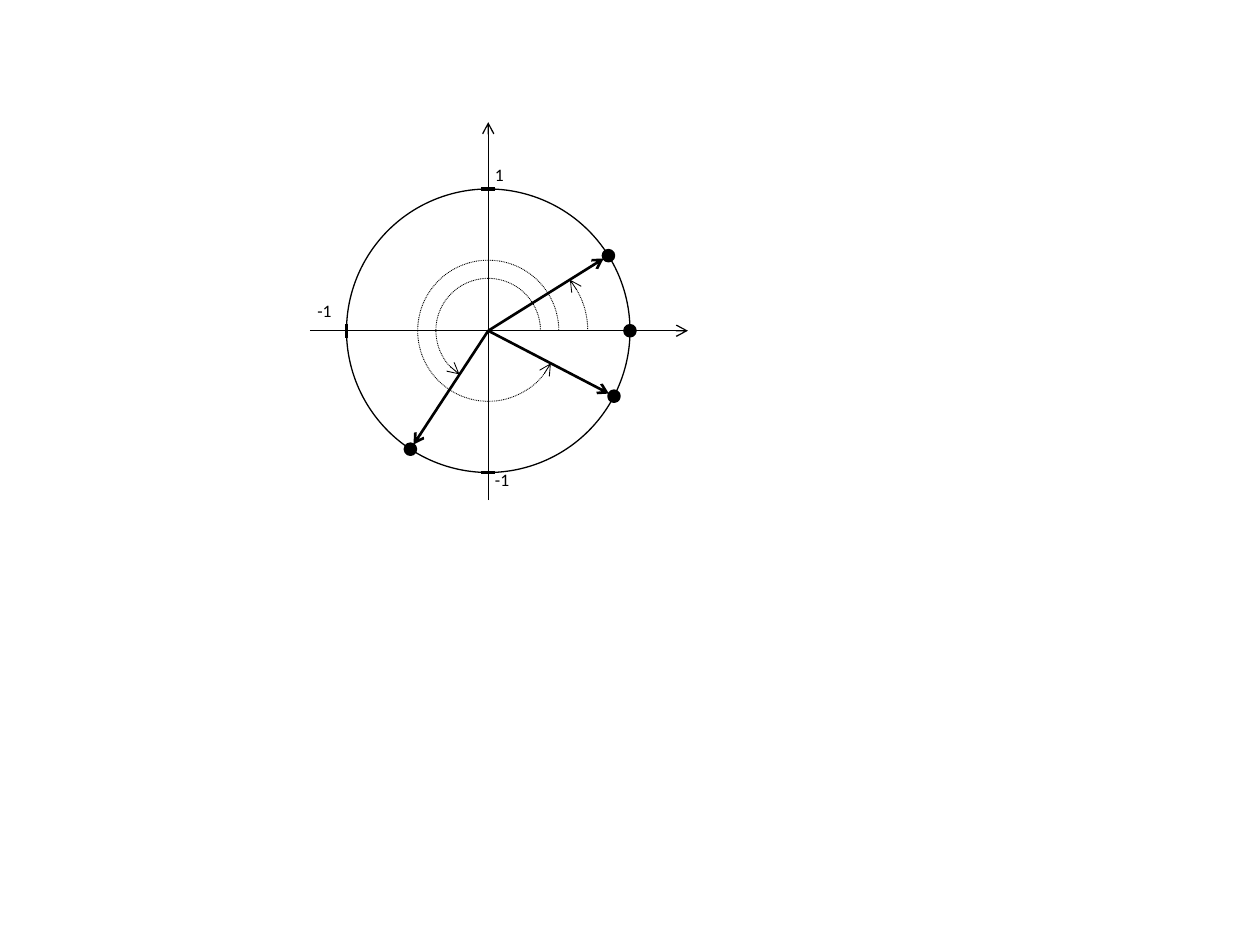
from math import cos, radians, sin

from pptx import Presentation
from pptx.dml.color import RGBColor
from pptx.enum.dml import MSO_LINE
from pptx.enum.shapes import MSO_CONNECTOR, MSO_SHAPE
from pptx.enum.text import MSO_AUTO_SIZE
from pptx.oxml.ns import qn
from pptx.util import Inches, Pt
from lxml.etree import SubElement

BLACK = "000000"
CX, CY = 3.875, 2.625
RADIUS, VECTOR_LENGTH = 1.125, 1.08
DOT, TICK = 0.08, 0.055

# from, to
AXES = [((2.46, CY), (5.46, CY)), ((CX, 3.97), (CX, 0.97))]
# clockwise angle in degrees, horizontal and vertical radius of its arc
VECTORS = [(328, 0.79, 0.71), (123.3, 0.415, 0.415), (27.5, 0.56, 0.56)]
# direction of the tick from the centre
TICKS = [(-1, 0), (0, -1), (0, 1)]
# text, left, top, width
LABELS = [("-1", 2.42, 2.33, 0.32), ("-1", 3.83, 3.67, 0.32), ("1", 3.83, 1.25, 0.27)]


def color(hex_string):
    return RGBColor.from_string(hex_string)


def on_circle(angle, radius):
    return CX + radius * cos(radians(angle)), CY + radius * sin(radians(angle))


def style_line(shape, width, arrow=None):
    """Black line; arrow is headEnd (at the start) or tailEnd (at the end)."""
    shape.line.color.rgb = color(BLACK)
    shape.line.width = Pt(width)
    if arrow:
        SubElement(shape.line._get_or_add_ln(), qn("a:" + arrow), type="arrow")


def add_line(shapes, start, end, width, arrow=None):
    points = [Inches(v) for v in (*start, *end)]
    line = shapes.add_connector(MSO_CONNECTOR.STRAIGHT, *points)
    style_line(line, width, arrow)
    SubElement(line._element.spPr, qn("a:effectLst"))


def add_round(shapes, kind, center, rx, ry):
    x, y = center
    box = [Inches(v) for v in (x - rx, y - ry, 2 * rx, 2 * ry)]
    shape = shapes.add_shape(kind, *box)
    shape.shadow.inherit = False
    shape.fill.background()
    return shape


def add_dot(shapes, angle):
    dot = add_round(shapes, MSO_SHAPE.OVAL, on_circle(angle, RADIUS), DOT / 2, DOT / 2)
    dot.fill.solid()
    dot.fill.fore_color.rgb = color(BLACK)
    style_line(dot, 2)


def add_arc(shapes, angle, rx, ry):
    """Dotted arc from the positive x axis, with its arrowhead at the vector."""
    arc = add_round(shapes, MSO_SHAPE.ARC, (CX, CY), rx, ry)
    arc.adjustments[0] = angle * 0.6  # 60000 units a degree, over 100000
    arc.adjustments[1] = 0
    arc.line.dash_style = MSO_LINE.ROUND_DOT
    style_line(arc, 0.5, "headEnd")


def add_label(shapes, text, left, top, width):
    box = shapes.add_textbox(*[Inches(v) for v in (left, top, width, 0.27)])
    tf = box.text_frame
    tf.word_wrap = False
    tf.auto_size = MSO_AUTO_SIZE.SHAPE_TO_FIT_TEXT
    r = tf.paragraphs[0].add_run()
    r.text = text
    for name, value in {"name": "Calibri", "size": Pt(10)}.items():
        setattr(r.font, name, value)
    r.font.color.rgb = color(BLACK)


def main():
    prs = Presentation()
    prs.slide_width, prs.slide_height = Inches(10), Inches(7.5)
    s = prs.slides.add_slide(prs.slide_layouts[6])
    shapes = s.shapes.add_group_shape().shapes

    circle = add_round(shapes, MSO_SHAPE.OVAL, (CX, CY), RADIUS, RADIUS)
    style_line(circle, 0.75)
    for start, end in AXES:
        add_line(shapes, start, end, 0.75, "tailEnd")
    for dx, dy in TICKS:
        x, y = CX + dx * RADIUS, CY + dy * RADIUS
        across, down = abs(dy) * TICK, abs(dx) * TICK
        add_line(shapes, (x + across, y + down), (x - across, y - down), 2.25)
    for label in LABELS:
        add_label(shapes, *label)

    add_dot(shapes, 0)
    for angle, rx, ry in VECTORS:
        add_line(shapes, (CX, CY), on_circle(angle, VECTOR_LENGTH), 1.5, "tailEnd")
        add_dot(shapes, angle)
        add_arc(shapes, angle, rx, ry)

    prs.save("out.pptx")


if __name__ == "__main__":
    main()
